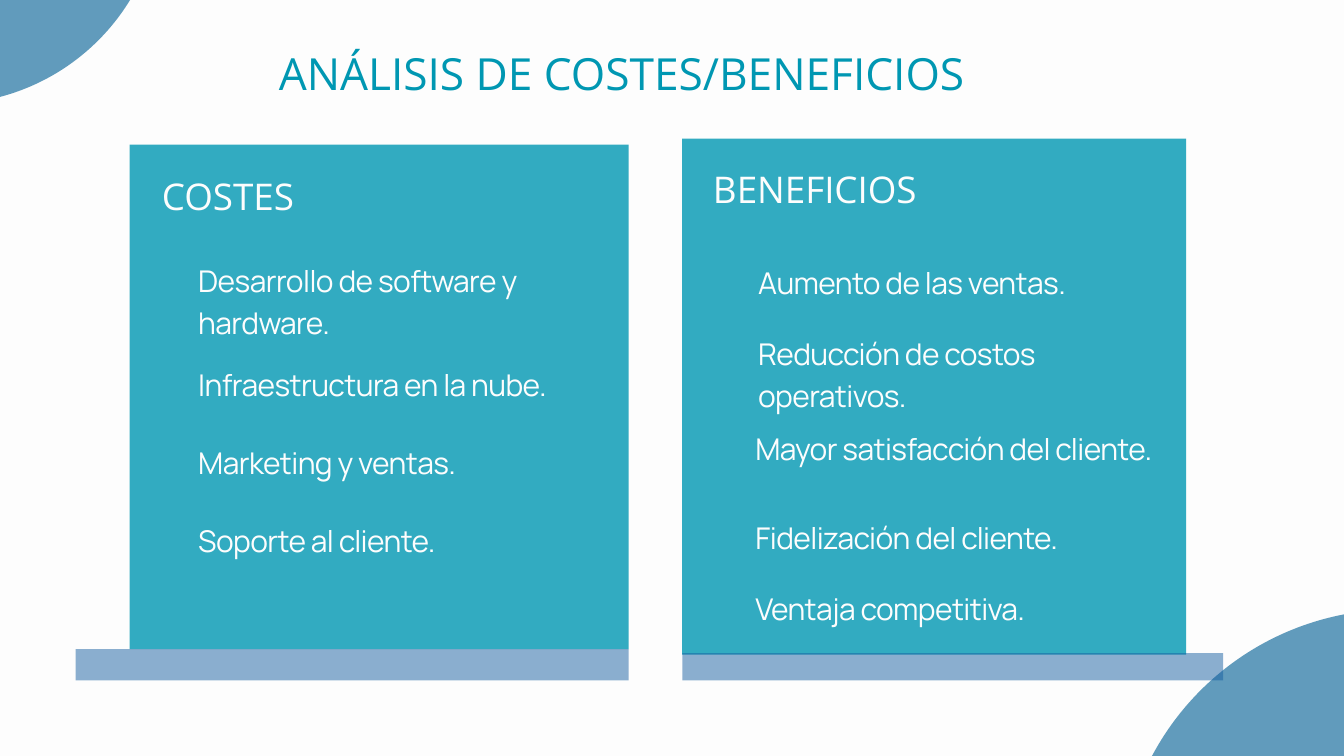
from dataclasses import dataclass

from lxml.etree import SubElement
from pptx import Presentation
from pptx.dml.color import RGBColor
from pptx.enum.shapes import MSO_SHAPE
from pptx.enum.text import MSO_ANCHOR, MSO_AUTO_SIZE, PP_ALIGN
from pptx.oxml.ns import qn
from pptx.util import Pt


@dataclass(frozen=True)
class TextStyle:
    font: str
    size: float
    line_height: float
    color: str
    tracking: float = 0


@dataclass(frozen=True)
class Fill:
    color: str
    opacity: int


@dataclass(frozen=True)
class Theme:
    background: str = "FDFDFD"
    panel: Fill = Fill("0097B2", 80)
    base: Fill = Fill("145DA0", 49)
    circle: Fill = Fill("5B98BA", 96)
    title: TextStyle = TextStyle("Open Sans", 47.4, 66.4, "0097B2")
    heading: TextStyle = TextStyle("Open Sans", 39.4, 55.2, "FDFDFD")
    item: TextStyle = TextStyle("Manrope", 32.1, 44.9, "FDFDFD", -0.6)


@dataclass(frozen=True)
class Box:
    left: float
    top: float
    width: float
    height: float


@dataclass(frozen=True)
class Item:
    text: str
    space_before: float = 0
    indent: float = 0


@dataclass(frozen=True)
class Column:
    panel: Box
    base: Box
    heading: str
    heading_box: Box
    items: tuple[Item, ...]
    items_box: Box
    heading_index: int
    items_index: int


THEME = Theme()
TITLE_BOX = Box(298.8, 40.3, 960.5, 64.1)
CIRCLES = (Box(1199.5, 653, 592.6, 592.6), Box(-293, -355, 466.6, 466.6))
COLUMNS = (
    Column(
        Box(139, 155, 534.5, 540.5), Box(81, 695.5, 592.5, 33.5),
        "COSTES", Box(173.5, 177.8, 306, 52.6),
        (
            Item("Desarrollo de software y hardware."),
            Item("Infraestructura en la nube.", 21.5),
            Item("Marketing y ventas.", 39),
            Item("Soporte al cliente.", 39),
        ),
        Box(212.4, 274.6, 407.5, 324), 1, 2,
    ),
    Column(
        Box(731, 148.5, 540, 553), Box(731, 699.8, 579.5, 29.2),
        "BENEFICIOS", Box(763.9, 170.6, 473.8, 52.6),
        (
            Item("Aumento de las ventas.", indent=3),
            Item("Reducción de costos operativos.", 31, 3),
            Item("Mayor satisfacción del cliente.", 11.7),
            Item("Fidelización del cliente.", 50),
            Item("Ventaja competitiva.", 32),
        ),
        Box(809.3, 277.5, 443.5, 394), 3, 4,
    ),
)


def place(shape, box: Box) -> None:
    shape.left, shape.top = Pt(box.left), Pt(box.top)
    shape.width, shape.height = Pt(box.width), Pt(box.height)


def add_filled_shape(slide, kind: MSO_SHAPE, box: Box, fill: Fill) -> None:
    shape = slide.shapes.add_shape(
        kind, Pt(box.left), Pt(box.top), Pt(box.width), Pt(box.height))
    shape.shadow.inherit = False
    shape.line.fill.background()
    shape.fill.solid()
    shape.fill.fore_color.rgb = RGBColor.from_string(fill.color)
    color = shape.fill._xPr.find(qn("a:solidFill"))[0]
    SubElement(color, qn("a:alpha")).set("val", str(fill.opacity * 1000))


def fill_placeholder(slide, shape, box: Box, items: tuple[Item, ...],
                     style: TextStyle) -> None:
    """Position the placeholder in front and write one unbulleted paragraph per item."""
    place(shape, box)
    slide.shapes._spTree.append(shape._element)
    frame = shape.text_frame
    frame.text = "\n".join(item.text for item in items)
    frame.word_wrap = True
    frame.auto_size = MSO_AUTO_SIZE.NONE
    frame.vertical_anchor = MSO_ANCHOR.TOP
    frame.margin_left = frame.margin_right = frame.margin_top = frame.margin_bottom = 0
    for paragraph, item in zip(frame.paragraphs, items):
        properties = paragraph._p.get_or_add_pPr()
        properties.set("marL", str(Pt(item.indent)))
        properties.set("indent", "0")
        SubElement(properties, qn("a:buNone"))
        paragraph.alignment = PP_ALIGN.LEFT
        paragraph.line_spacing = Pt(style.line_height)
        paragraph.space_before = Pt(item.space_before)
        paragraph.space_after = Pt(0)
        for run in paragraph.runs:
            run.font.name = style.font
            run.font.size = Pt(style.size)
            run.font.bold = False
            run.font.color.rgb = RGBColor.from_string(style.color)
            if style.tracking:
                run._r.get_or_add_rPr().set("spc", str(round(style.tracking * 100)))


def main() -> None:
    presentation = Presentation()
    presentation.slide_width, presentation.slide_height = Pt(1440), Pt(810)
    comparison_layout = presentation.slide_layouts[4]
    slide = presentation.slides.add_slide(comparison_layout)
    slide.background.fill.solid()
    slide.background.fill.fore_color.rgb = RGBColor.from_string(THEME.background)

    for column in COLUMNS:
        add_filled_shape(slide, MSO_SHAPE.RECTANGLE, column.panel, THEME.panel)
    for circle in CIRCLES:
        add_filled_shape(slide, MSO_SHAPE.OVAL, circle, THEME.circle)
    for column in COLUMNS:
        add_filled_shape(slide, MSO_SHAPE.RECTANGLE, column.base, THEME.base)

    fill_placeholder(slide, slide.shapes.title, TITLE_BOX,
                     (Item("ANÁLISIS DE COSTES/BENEFICIOS"),), THEME.title)
    placeholders = {shape.placeholder_format.idx: shape for shape in slide.placeholders}
    for column in COLUMNS:
        fill_placeholder(slide, placeholders[column.heading_index], column.heading_box,
                         (Item(column.heading),), THEME.heading)
        fill_placeholder(slide, placeholders[column.items_index], column.items_box,
                         column.items, THEME.item)

    presentation.save("out.pptx")


if __name__ == "__main__":
    main()
